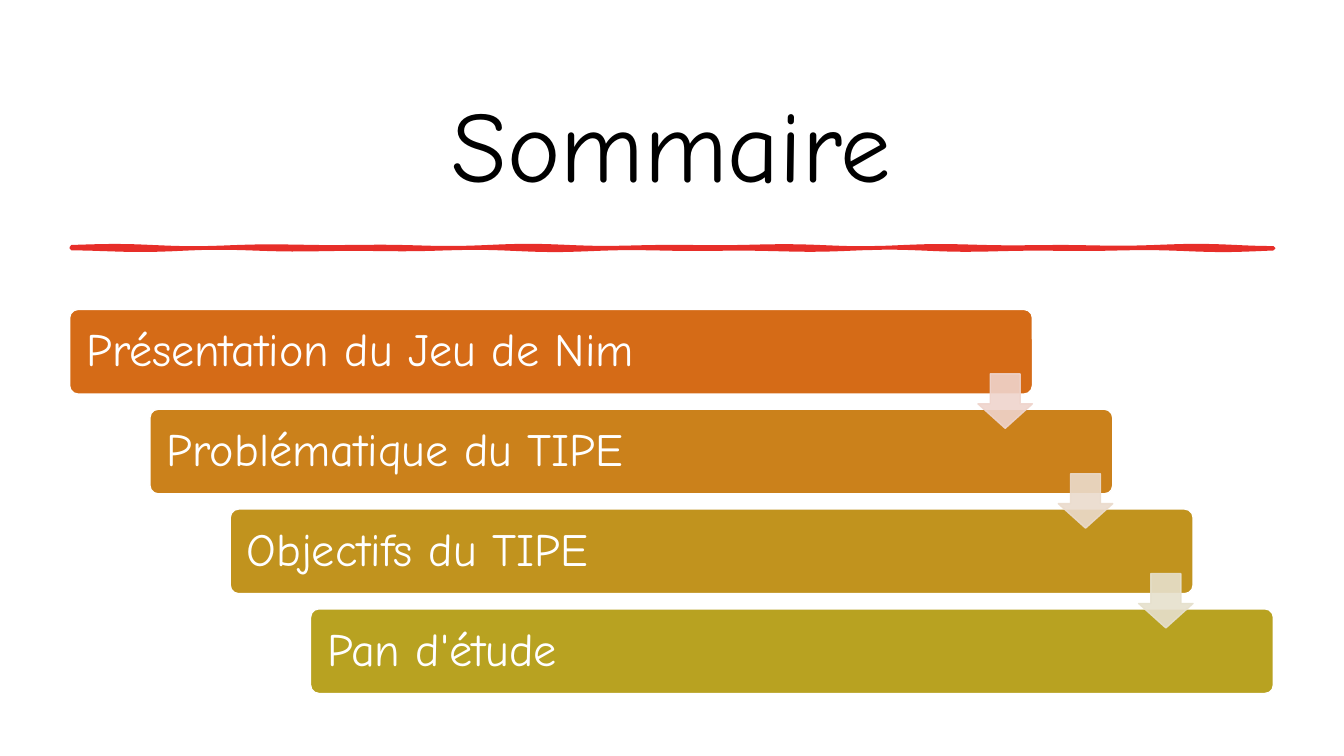
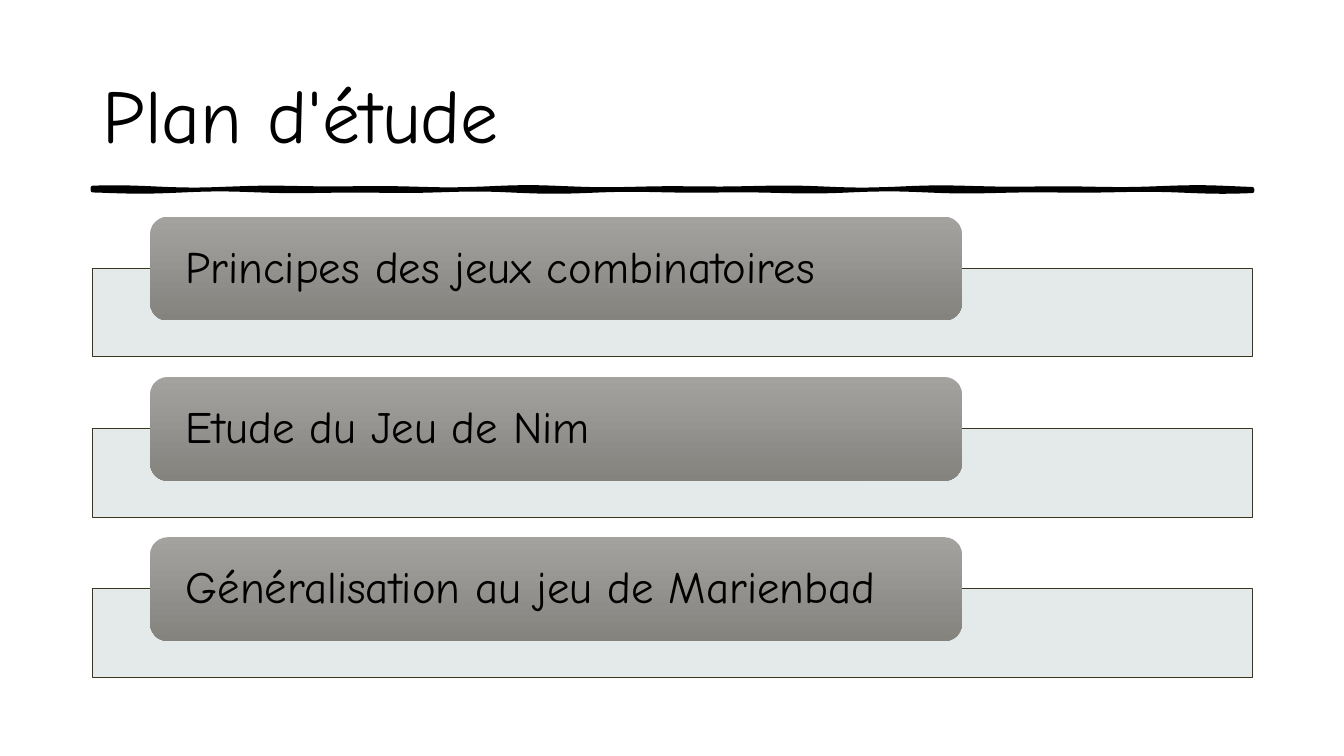
import math
from dataclasses import dataclass

import lxml.etree
import pptx
import pptx.dml.color
import pptx.enum.shapes
import pptx.enum.text
import pptx.oxml.ns
import pptx.util

Inches = pptx.util.Inches
Pt = pptx.util.Pt
Color = pptx.dml.color.RGBColor.from_string
Shape = pptx.enum.shapes.MSO_SHAPE
Align = pptx.enum.text.PP_ALIGN
Anchor = pptx.enum.text.MSO_ANCHOR
qn = pptx.oxml.ns.qn


@dataclass(frozen=True)
class Theme:
    font: str = "Comic Neue"
    black: str = "000000"
    white: str = "FFFFFF"
    red: str = "E72E29"
    bars: tuple = ("D56B17", "CB811B", "C1931E", "B8A221")
    arrows: tuple = ("EFD4CC", "EBDBCC", "E6E0CD")
    panel: str = "E2E8E8"
    border: str = "393620"
    light: str = "A3A29F"
    dark: str = "84837E"
    cover: int = 72
    title: int = 54
    step: int = 33
    topic: int = 32


theme = Theme()


def draw(slide, kind, box, fill, line=None, width=1, alpha=100):
    """Add a preset shape; alpha fades every part that has the fill colour."""
    shape = slide.shapes.add_shape(kind, *map(Inches, box))
    shape.shadow.inherit = False
    shape.fill.solid()
    shape.fill.fore_color.rgb = Color(fill)
    if line:
        shape.line.color.rgb = Color(line)
        shape.line.width = Pt(width)
    else:
        shape.line.fill.background()
    if alpha < 100:
        for tone in shape._element.spPr.iter(qn("a:srgbClr")):
            if tone.get("val") == fill:
                lxml.etree.SubElement(tone, qn("a:alpha"), val=str(alpha * 1000))
    return shape


def write(shape, text, size, tone, align=Align.LEFT, inset=0.1, space=0.9):
    frame = shape.text_frame
    frame.word_wrap = True
    frame.auto_size = pptx.enum.text.MSO_AUTO_SIZE.NONE
    frame.vertical_anchor = Anchor.MIDDLE
    frame.margin_left = frame.margin_right = Inches(inset)
    para = frame.paragraphs[0]
    para.text = text
    para.alignment = align
    para.line_spacing = space
    para.font.name = theme.font
    para.font.size = Pt(size)
    para.font.color.rgb = Color(tone)


deck = pptx.Presentation()
deck.slide_width = Inches(13.33)
deck.slide_height = Inches(7.5)

# Titles, each over a hand-drawn rule: left, right, height, colour, weight
heads = [
    ("Sommaire", (0.69, 0.69, 11.94, 1.44), theme.cover, Align.CENTER,
     (0.71, 12.63, 2.46, theme.red, 2.75)),
    ("Plan d'étude", (0.92, 0.4, 11.5, 1.45), theme.title, Align.LEFT,
     (0.92, 12.42, 1.88, theme.black, 3)),
]
slides = []
for text, box, size, align, (left, right, mid, tone, weight) in heads:
    slide = deck.slides.add_slide(deck.slide_layouts[5])
    slides.append(slide)
    title = slide.shapes.title
    title.left, title.top, title.width, title.height = map(Inches, box)
    write(title, text, size, theme.black, align, space=1)

    count = 120
    edges = []
    for side in (-1, 1):
        edge = []
        for i in range(count + 1):
            x = left + (right - left) * i / count
            wave = math.sin(4.7 * x + side) + math.sin(2.9 * x - 2 * side)
            edge.append((Inches(x), Inches(mid + 0.01 * side + 0.006 * wave)))
        edges.append(edge)
    points = edges[0] + edges[1][::-1]
    pen = slide.shapes.build_freeform(*points[0], scale=1.0)
    pen.add_line_segments(points[1:], close=True)
    rule = pen.convert_to_shape()
    rule.shadow.inherit = False
    rule.fill.solid()
    rule.fill.fore_color.rgb = Color(tone)
    rule.line.color.rgb = Color(tone)
    rule.line.width = Pt(weight)

outline, plan = slides

# Staircase of steps
steps = ["Présentation du Jeu de Nim", "Problématique du TIPE",
         "Objectifs du TIPE", "Pan d'étude"]
wide, high, tip = 9.55, 0.84, 0.54
shift = (11.94 - wide) / (len(steps) - 1)
spots = [(0.69 + shift * i, 3.07 + 0.99 * i) for i in range(len(steps))]
for text, (x, y), tone in zip(steps, spots, theme.bars):
    bar = draw(outline, Shape.ROUNDED_RECTANGLE, (x, y, wide, high),
               tone, theme.white)
    bar.adjustments[0] = 0.1
    write(bar, text, theme.step, theme.white, inset=0.14)
for (x, y), tone in zip(spots, theme.arrows):
    arrow = draw(outline, Shape.DOWN_ARROW,
                 (x + wide - tip, y + 0.64, tip, tip), tone, tone, alpha=90)
    arrow.adjustments[0] = 0.55
    arrow.adjustments[1] = 0.45

# Topics, each a pill on a panel
topics = ["Principes des jeux combinatoires", "Etude du Jeu de Nim",
          "Généralisation au jeu de Marienbad"]
for i, text in enumerate(topics):
    y = 2.15 + 1.59 * i
    draw(plan, Shape.RECTANGLE, (0.92, y + 0.51, 11.5, 0.88),
         theme.panel, theme.border, 0.5, alpha=90)
    pill = draw(plan, Shape.ROUNDED_RECTANGLE, (1.49, y, 8.05, 1.03),
                theme.light)
    pill.fill.gradient()
    pill.fill.gradient_angle = 270
    for stop, tone in zip(pill.fill.gradient_stops, (theme.light, theme.dark)):
        stop.color.rgb = Color(tone)
    write(pill, text, theme.topic, theme.black, inset=0.3)

deck.save("out.pptx")
